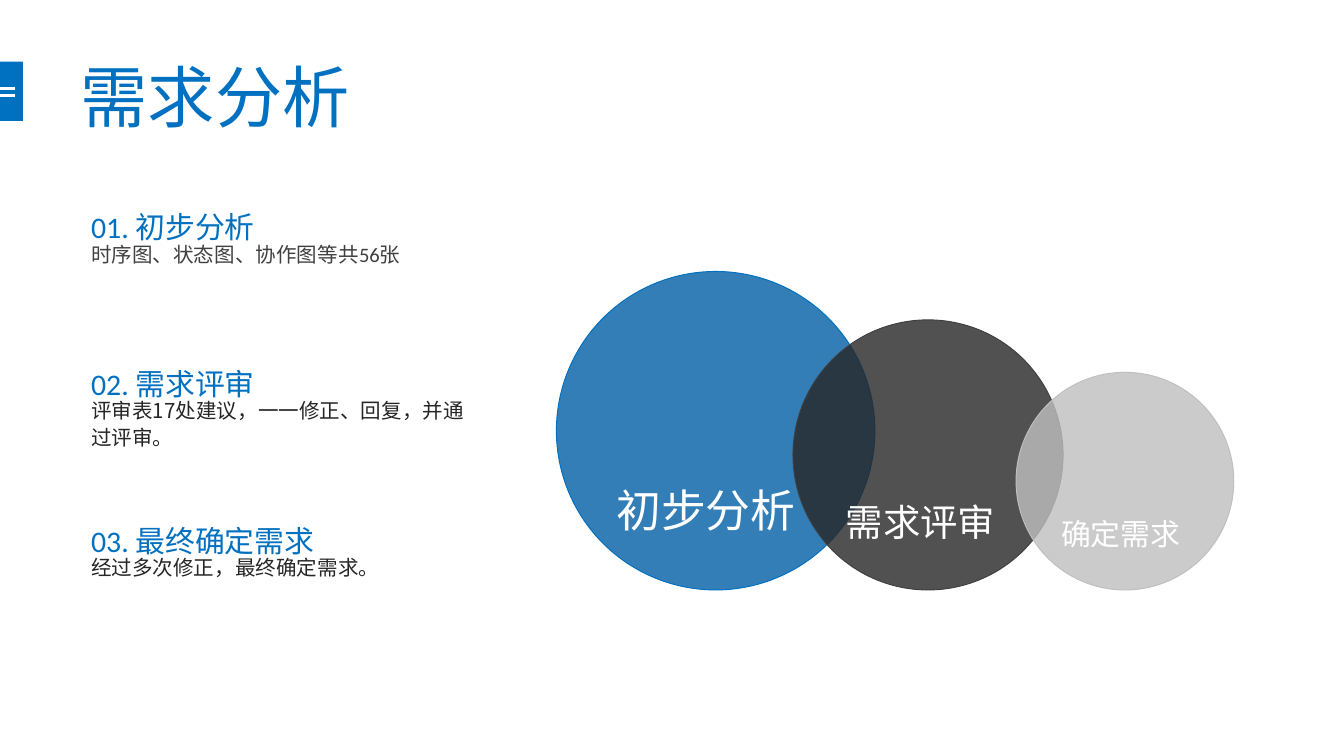
from dataclasses import dataclass

from lxml import etree
from pptx import Presentation
from pptx.dml.color import RGBColor
from pptx.enum.shapes import MSO_CONNECTOR, MSO_SHAPE
from pptx.enum.text import MSO_ANCHOR, MSO_AUTO_SIZE, PP_ALIGN
from pptx.oxml.ns import qn
from pptx.util import Inches, Pt

RECT, OVAL = MSO_SHAPE.RECTANGLE, MSO_SHAPE.OVAL
STRAIGHT = MSO_CONNECTOR.STRAIGHT
TOP, MIDDLE, BOTTOM = MSO_ANCHOR.TOP, MSO_ANCHOR.MIDDLE, MSO_ANCHOR.BOTTOM
NO_FIT = MSO_AUTO_SIZE.NONE
LEFT = PP_ALIGN.LEFT
WIDTH = 10
HEIGHT = WIDTH * 9 / 16
TITLE_ONLY = 5


@dataclass(frozen=True)
class Theme:
    accent: str = "0070C0"
    white: str = "FFFFFF"
    soft: str = "404040"
    dark: str = "262626"
    deep_blue: str = "005EA4"
    grey: str = "BFBFBF"
    latin: str = "Calibri"
    title_latin: str = "Arial Narrow"
    cjk: str = "Noto Sans CJK SC"
    title_size: int = 36
    heading_size: int = 16
    detail_size: int = 11
    opacity: int = 80
    line_spacing: float = 1.1


THEME = Theme()

# heading, detail, detail colour, detail font
STEPS = [
    ("01. 初步分析", "时序图、状态图、协作图等共56张", THEME.soft, THEME.latin),
    ("02. 需求评审", "评审表17处建议，一一修正、回复，并通过评审。", THEME.dark, THEME.cjk),
    ("03. 最终确定需求", "经过多次修正，最终确定需求。", THEME.dark, THEME.cjk),
]

# label, diameter, overlap with the circle before, type size, fill, outline
STAGES = [
    ("初步分析", 2.37, 0, 24, THEME.deep_blue, THEME.accent),
    ("需求评审", 2.01, 0.61, 20, THEME.dark, THEME.soft),
    ("确定需求", 1.62, 0.35, 16, THEME.grey, THEME.grey),
]


def inches(*lengths):
    return [Inches(length) for length in lengths]


def write(shape, text, size, color, font=THEME.latin, anchor=TOP, spacing=None):
    frame = shape.text_frame
    frame.text = text
    frame.word_wrap = True
    frame.auto_size = NO_FIT
    frame.vertical_anchor = anchor
    paragraph = frame.paragraphs[0]
    paragraph.alignment = LEFT
    paragraph.line_spacing = spacing
    run = paragraph.runs[0]
    run.font.size = Pt(size)
    run.font.name = font
    run.font.color.rgb = RGBColor.from_string(color)
    east_asian = etree.SubElement(run.font._element, qn("a:ea"))
    east_asian.set("typeface", THEME.cjk)


def add_filled(slide, preset, box, fill):
    shape = slide.shapes.add_shape(preset, *inches(*box))
    shape.shadow.inherit = False
    shape.fill.solid()
    shape.fill.fore_color.rgb = RGBColor.from_string(fill)
    shape.line.fill.background()
    return shape


def add_marker(slide, box):
    """Edge tab with two white strokes around its middle."""
    left, top, width, height = box
    add_filled(slide, RECT, box, THEME.accent)
    for share in (0.45, 0.57):
        y = top + height * share
        stroke = slide.shapes.add_connector(
            STRAIGHT, *inches(left, y, left + width * 0.65, y))
        stroke.line.color.rgb = RGBColor.from_string(THEME.white)
        stroke.line.width = Pt(1.5)
        etree.SubElement(stroke._element.spPr, qn("a:effectLst"))


def place_title(slide, box, text):
    title = slide.shapes.title
    title.left, title.top, title.width, title.height = inches(*box)
    write(title, text, THEME.title_size, THEME.accent, THEME.title_latin, MIDDLE)


def add_steps(slide, box):
    left, top, width, height = box
    row = height / len(STEPS)
    heading_height, detail_offset, detail_height = 0.31, 0.25, 0.67
    for index, (heading, detail, color, font) in enumerate(STEPS):
        y = top + index * row
        heading_box = slide.shapes.add_textbox(
            *inches(left, y, width, heading_height))
        write(heading_box, heading, THEME.heading_size, THEME.accent,
              spacing=THEME.line_spacing)
        detail_box = slide.shapes.add_textbox(
            *inches(left, y + detail_offset, width, detail_height))
        write(detail_box, detail, THEME.detail_size, color, font,
              spacing=THEME.line_spacing)


def add_stages(slide, left, baseline):
    """Row of overlapping circles that stand on one baseline."""
    x = left
    for label, diameter, overlap, size, fill, outline in STAGES:
        x -= overlap
        circle = add_filled(
            slide, OVAL, (x, baseline - diameter, diameter, diameter), fill)
        color = circle.fill._xPr.find(qn("a:solidFill"))[0]
        alpha = etree.SubElement(color, qn("a:alpha"))
        alpha.set("val", str(THEME.opacity * 1000))
        circle.line.color.rgb = RGBColor.from_string(outline)
        circle.line.width = Pt(0.5)
        write(circle, label, size, THEME.white, anchor=BOTTOM)
        x += diameter


def main():
    deck = Presentation()
    deck.slide_width, deck.slide_height = inches(WIDTH, HEIGHT)
    slide = deck.slides.add_slide(deck.slide_layouts[TITLE_ONLY])
    add_marker(slide, (0, 0.46, 0.17, 0.44))
    place_title(slide, (WIDTH * 0.05, 0.48, WIDTH * 0.83, 0.46), "需求分析")
    add_steps(slide, (0.58, 1.48, WIDTH * 0.3, 3.5))
    add_stages(slide, 4.14, 4.39)
    deck.save("out.pptx")


if __name__ == "__main__":
    main()
